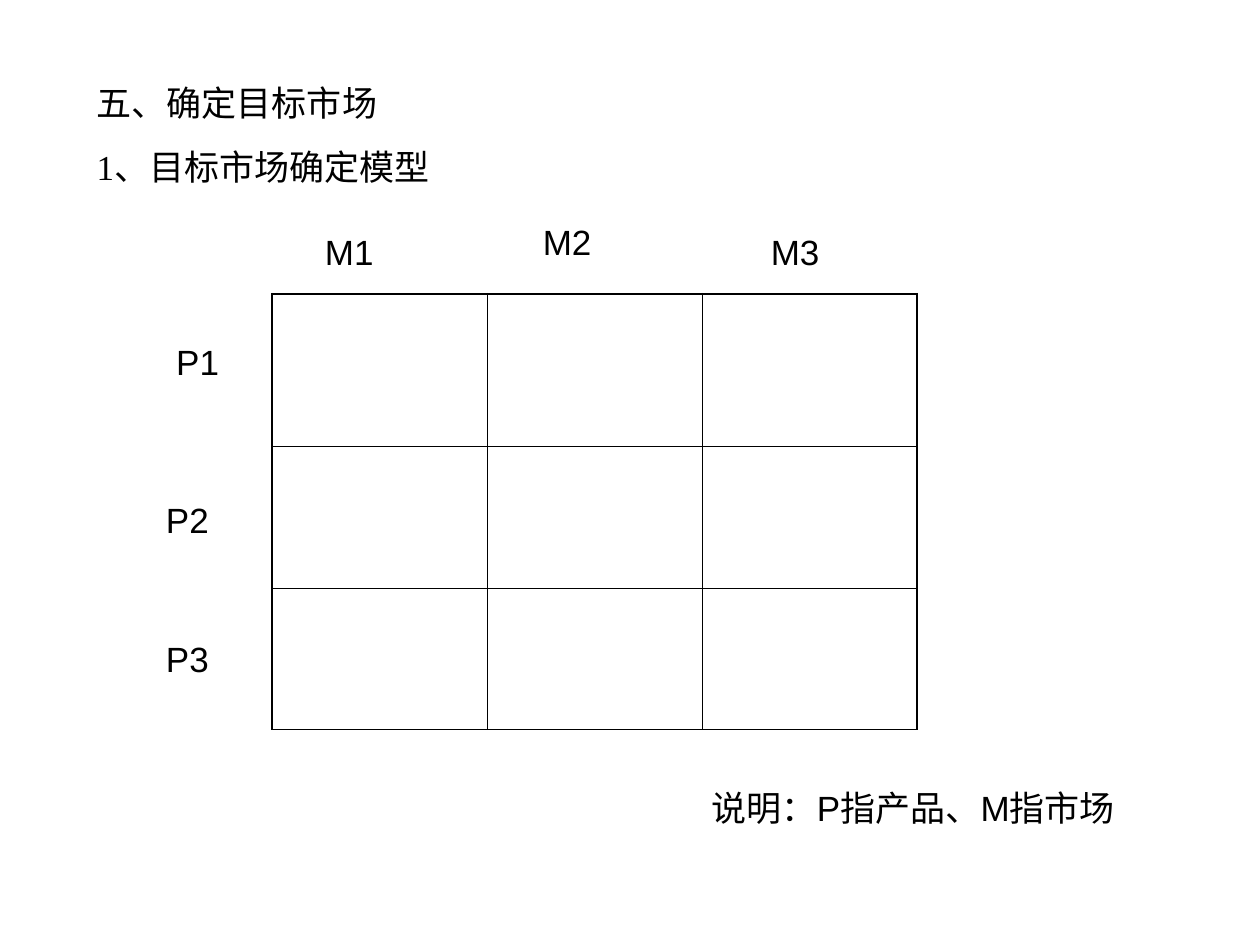
from typing import NamedTuple

from lxml.etree import SubElement
from pptx import Presentation
from pptx.dml.color import RGBColor
from pptx.enum.text import MSO_AUTO_SIZE as AutoSize
from pptx.oxml.ns import qn
from pptx.slide import Slide
from pptx.table import _Cell as Cell
from pptx.util import Pt

BLACK = "000000"
THICK, THIN = 1.08, 0.45
COLUMN_WIDTHS = (123, 122.6, 123)
ROW_HEIGHTS = (87.1, 81.4, 80.6)


class Caption(NamedTuple):
    lines: tuple[str, ...]
    left: float
    top: float
    width: float = 62.6
    height: float = 31.7
    font: str = "Arial"


CAPTIONS = (
    Caption(("五、确定目标市场", "1、目标市场确定模型"), 48.2, 43.2, 436.3, 67.7, "Times New Roman"),
    Caption(("P1",), 93.6, 190.8),
    Caption(("P2",), 87.8, 281.5),
    Caption(("P3",), 87.8, 360.7),
    Caption(("M1",), 178.6, 128.2),
    Caption(("M2",), 303.1, 122.4),
    Caption(("M3",), 433.4, 128.2),
    Caption(("说明：P指产品、M指市场",), 399.6, 445.7, 368.6),
)


def color(code: str) -> RGBColor:
    return RGBColor.from_string(code)


def draw_caption(slide: Slide, caption: Caption) -> None:
    box = slide.shapes.add_textbox(
        Pt(caption.left), Pt(caption.top), Pt(caption.width), Pt(caption.height)
    )
    frame = box.text_frame
    frame.word_wrap = True
    frame.auto_size = AutoSize.SHAPE_TO_FIT_TEXT
    for index, line in enumerate(caption.lines):
        paragraph = frame.add_paragraph() if index else frame.paragraphs[0]
        if index:
            paragraph.space_before = Pt(12.5)
        run = paragraph.add_run()
        run.text = line
        run.font.name = caption.font
        run.font.size = Pt(20)
        run.font.color.rgb = color(BLACK)


def draw_borders(cell: Cell, widths: dict[str, float]) -> None:
    properties = cell._tc.get_or_add_tcPr()
    for side, width in widths.items():
        border = SubElement(properties, qn(f"a:ln{side}"), w=str(int(Pt(width))))
        fill = SubElement(border, qn("a:solidFill"))
        SubElement(fill, qn("a:srgbClr"), val=BLACK)
    cell.fill.background()


def draw_matrix(slide: Slide, left: float, top: float) -> None:
    rows, columns = len(ROW_HEIGHTS), len(COLUMN_WIDTHS)
    matrix = slide.shapes.add_table(
        rows, columns, Pt(left), Pt(top), Pt(sum(COLUMN_WIDTHS)), Pt(sum(ROW_HEIGHTS))
    ).table
    matrix.first_row = False
    matrix.horz_banding = False
    for column, width in zip(matrix.columns, COLUMN_WIDTHS):
        column.width = Pt(width)
    for r, (row, height) in enumerate(zip(matrix.rows, ROW_HEIGHTS)):
        row.height = Pt(height)
        for c, cell in enumerate(row.cells):
            outer = {"L": c == 0, "R": c == columns - 1, "T": r == 0, "B": r == rows - 1}
            draw_borders(cell, {side: THICK if edge else THIN for side, edge in outer.items()})


def main() -> None:
    deck = Presentation()
    deck.slide_width, deck.slide_height = Pt(720), Pt(540)
    slide = deck.slides.add_slide(deck.slide_layouts[6])
    draw_matrix(slide, 155.5, 167.8)
    for caption in CAPTIONS:
        draw_caption(slide, caption)
    deck.save("out.pptx")


if __name__ == "__main__":
    main()
